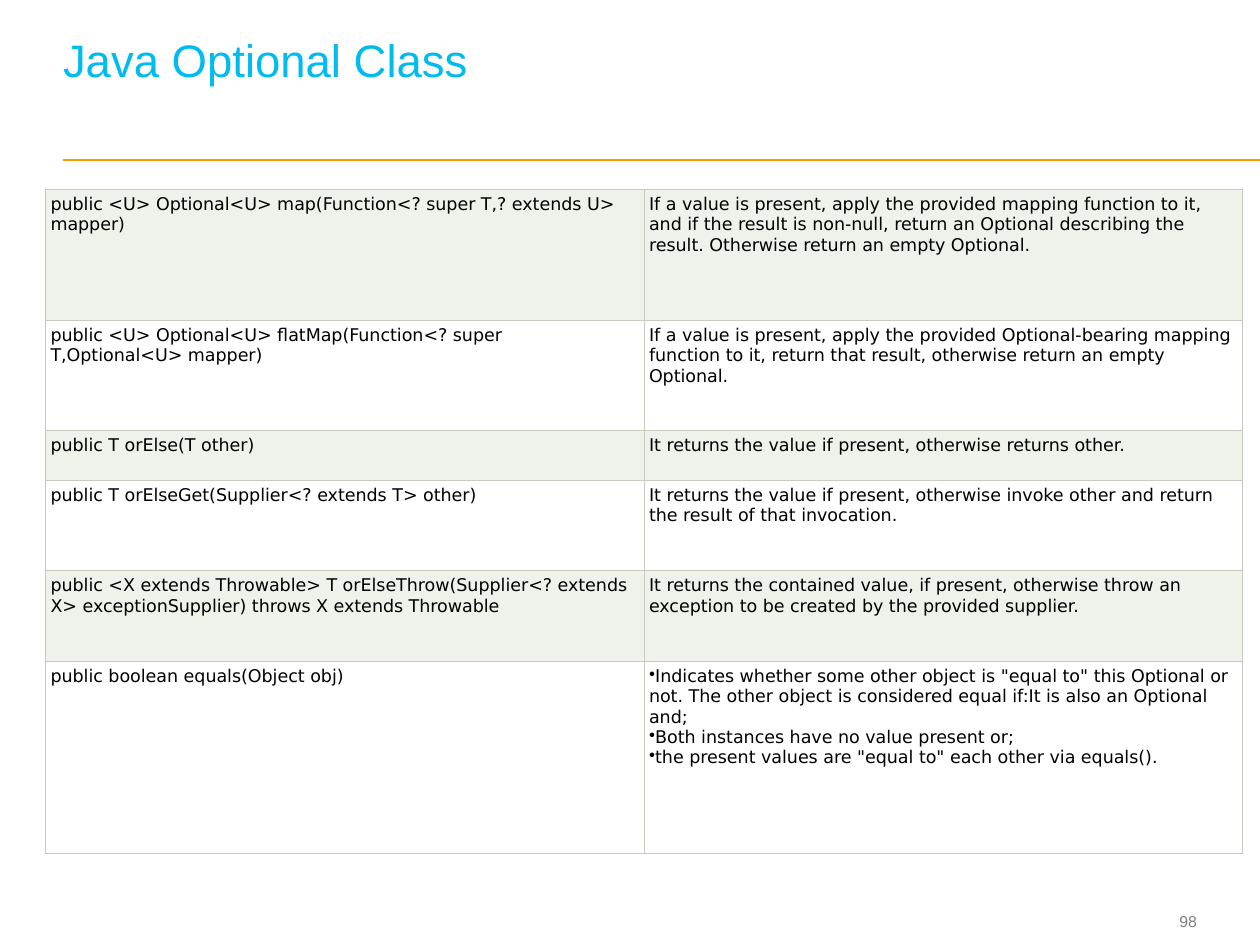
import dataclasses

import pptx
import pptx.dml.color
import pptx.enum.shapes
import pptx.enum.text
import pptx.oxml
import pptx.oxml.ns
import pptx.util

Pt = pptx.util.Pt
Align = pptx.enum.text.PP_ALIGN
Anchor = pptx.enum.text.MSO_ANCHOR


@dataclasses.dataclass(frozen=True)
class Theme:
    heading_font: str = "Arial"
    table_font: str = "DejaVu Sans"
    title_size: float = 26
    table_size: float = 10
    number_size: float = 9
    title_color: str = "00BBEE"
    rule_color: str = "FF9900"
    number_color: str = "7F7F7F"
    text_color: str = "000000"
    border_color: str = "C7CCBE"
    band_colors: tuple = ("EFF1EB", "FFFFFF")


def rgb(color):
    return pptx.dml.color.RGBColor.from_string(color)


def write_text(frame, text, *, font, size, color, align=Align.LEFT, spacing=None, bullet=None):
    lines = [text] if isinstance(text, str) else text
    for index, line in enumerate(lines):
        paragraph = frame.paragraphs[0] if index == 0 else frame.add_paragraph()
        paragraph.alignment = align
        if spacing:
            paragraph.line_spacing = Pt(spacing)
        if bullet:
            properties = paragraph._p.get_or_add_pPr()
            properties.set("marL", "0")
            properties.set("indent", "0")
            mark = pptx.oxml.parse_xml(f'<a:buChar {pptx.oxml.ns.nsdecls("a")} char="{bullet}"/>')
            properties.append(mark)
        run = paragraph.add_run()
        run.text = line
        run.font.name = font
        run.font.size = Pt(size)
        run.font.color.rgb = rgb(color)


class SlideBuilder:
    def __init__(self, slide, theme):
        self.slide = slide
        self.theme = theme

    def prepare_frame(self, frame, anchor, bottom=0):
        frame.word_wrap = True
        frame.auto_size = pptx.enum.text.MSO_AUTO_SIZE.NONE
        frame.vertical_anchor = anchor
        frame.margin_left = frame.margin_right = frame.margin_top = 0
        frame.margin_bottom = Pt(bottom)

    def title(self, text, left, top, width, height):
        theme = self.theme
        shape = self.slide.shapes.title
        shape.left, shape.top, shape.width, shape.height = map(Pt, (left, top, width, height))
        self.prepare_frame(shape.text_frame, Anchor.BOTTOM, bottom=theme.title_size)
        write_text(shape.text_frame, text, font=theme.heading_font, size=theme.title_size,
                   color=theme.title_color, spacing=theme.title_size)

    def rule(self, left, right, top):
        connector = self.slide.shapes.add_connector(
            pptx.enum.shapes.MSO_CONNECTOR.STRAIGHT, Pt(left), Pt(top), Pt(right), Pt(top))
        connector.line.color.rgb = rgb(self.theme.rule_color)
        connector.line.width = Pt(1)
        effects = pptx.oxml.parse_xml(f'<a:effectLst {pptx.oxml.ns.nsdecls("a")}/>')
        connector._element.spPr.append(effects)

    def page_number(self, text, left, top, width, height):
        theme = self.theme
        shape = self.slide.shapes.add_textbox(*map(Pt, (left, top, width, height)))
        self.prepare_frame(shape.text_frame, Anchor.MIDDLE)
        write_text(shape.text_frame, text, font=theme.heading_font, size=theme.number_size,
                   color=theme.number_color, align=Align.RIGHT)

    def table(self, rows, heights, left, top, width):
        column_count = len(rows[0])
        shape = self.slide.shapes.add_table(
            len(rows), column_count, Pt(left), Pt(top), Pt(width), Pt(sum(heights)))
        table = shape.table
        table.first_row = False
        table.horz_banding = False
        for column in table.columns:
            column.width = Pt(width / column_count)
        for row_index, (texts, height) in enumerate(zip(rows, heights)):
            table.rows[row_index].height = Pt(height)
            fill = self.theme.band_colors[row_index % 2]
            for column_index, text in enumerate(texts):
                self.cell(table.cell(row_index, column_index), text, fill)

    def cell(self, cell, text, fill):
        theme = self.theme
        cell.margin_left = cell.margin_right = cell.margin_top = cell.margin_bottom = Pt(2.9)
        cell.vertical_anchor = Anchor.TOP
        properties = cell._tc.get_or_add_tcPr()
        for side in "LRTB":
            properties.append(pptx.oxml.parse_xml(
                f'<a:ln{side} {pptx.oxml.ns.nsdecls("a")} w="{int(Pt(0.6))}"><a:solidFill>'
                f'<a:srgbClr val="{theme.border_color}"/></a:solidFill></a:ln{side}>'))
        cell.fill.solid()
        cell.fill.fore_color.rgb = rgb(fill)
        write_text(cell.text_frame, text, font=theme.table_font, size=theme.table_size,
                   color=theme.text_color, bullet=None if isinstance(text, str) else "•")


METHODS = [
    ("public <U> Optional<U> map(Function<? super T,? extends U> mapper)",
     "If a value is present, apply the provided mapping function to it, and if the result is "
     "non-null, return an Optional describing the result. Otherwise return an empty Optional."),
    ("public <U> Optional<U> flatMap(Function<? super T,Optional<U> mapper)",
     "If a value is present, apply the provided Optional-bearing mapping function to it, "
     "return that result, otherwise return an empty Optional."),
    ("public T orElse(T other)",
     "It returns the value if present, otherwise returns other."),
    ("public T orElseGet(Supplier<? extends T> other)",
     "It returns the value if present, otherwise invoke other and return the result of that "
     "invocation."),
    ("public <X extends Throwable> T orElseThrow(Supplier<? extends X> exceptionSupplier) "
     "throws X extends Throwable",
     "It returns the contained value, if present, otherwise throw an exception to be created "
     "by the provided supplier."),
    ("public boolean equals(Object obj)",
     ['Indicates whether some other object is "equal to" this Optional or not. The other '
      "object is considered equal if:It is also an Optional and;",
      "Both instances have no value present or;",
      'the present values are "equal to" each other via equals().']),
]
ROW_HEIGHTS = [74.8, 63, 28.4, 51.8, 51.6, 110]


def main():
    presentation = pptx.Presentation()
    presentation.slide_width, presentation.slide_height = Pt(720), Pt(540)
    slide = presentation.slides.add_slide(presentation.slide_layouts[5])
    builder = SlideBuilder(slide, Theme())
    builder.rule(36, 720, 91.4)
    builder.page_number("98", 641.5, 517, 42.5, 19.4)
    builder.title("Java Optional Class", 36, 13.7, 646, 62)
    builder.table(METHODS, ROW_HEIGHTS, 26, 108.2, 684)
    presentation.save("out.pptx")


if __name__ == "__main__":
    main()
